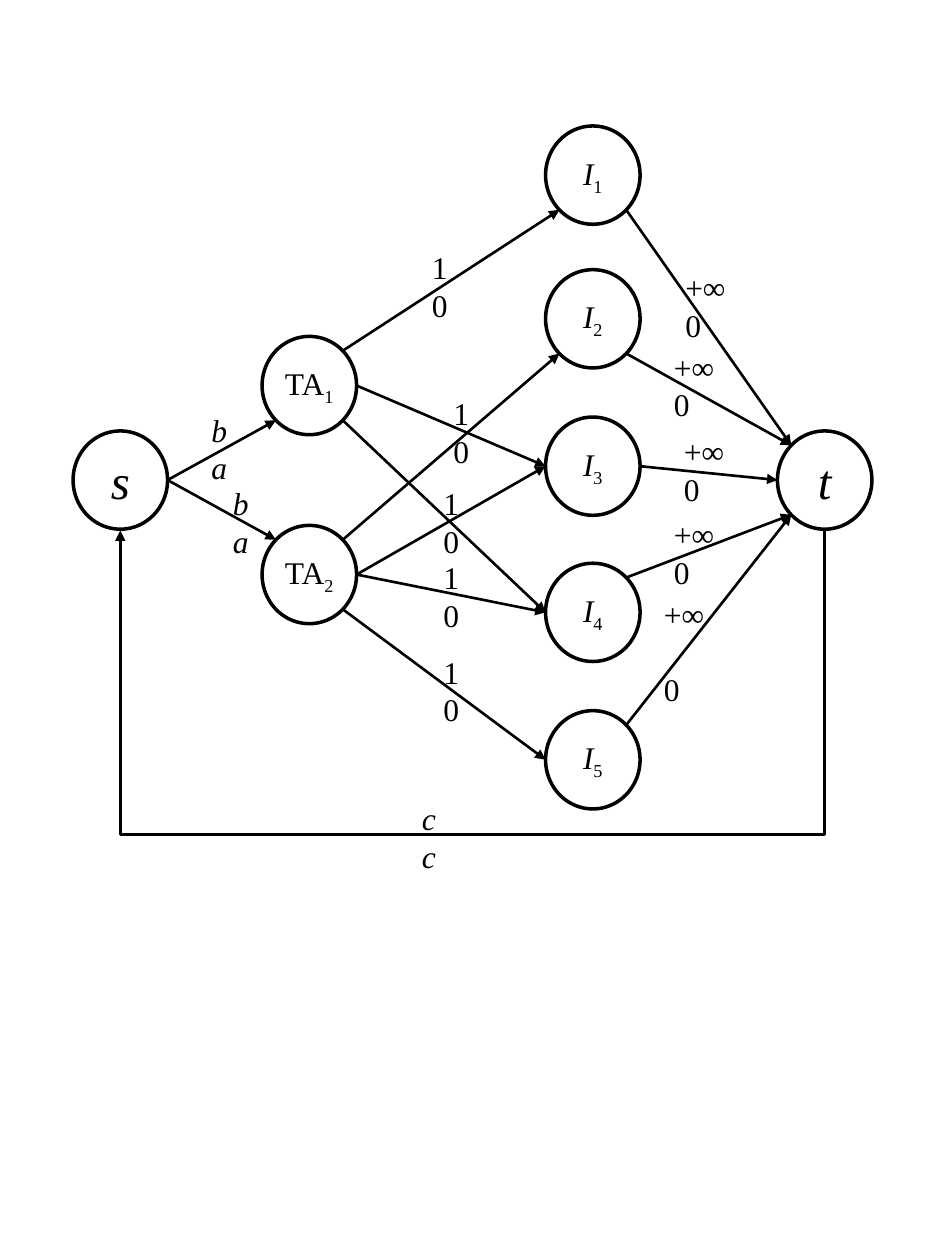
import math
from lxml import etree
from pptx import Presentation
from pptx import util as u
from pptx.dml.color import RGBColor
from pptx.enum import shapes, text
from pptx.oxml import ns

INK = "000000"
NODE_W, NODE_H = 0.75, 0.78
SITES = {"e": 0, "se": 45, "s": 90, "sw": 135, "w": 180, "nw": 225, "ne": 315}


def color(hex_string):
    return RGBColor.from_string(hex_string)


def add_span(para, words, size, italic=False, subscript=False):
    span = para.add_run()
    span.text = words
    span.font.name = "Times New Roman"
    span.font.size = u.Pt(size)
    span.font.italic = italic
    span.font.color.rgb = color(INK)
    if subscript:
        span.font._element.set("baseline", "-25000")


def add_node(page, left, top, name, index="", size=18, italic=True):
    """Draw a round node and return its box."""
    box = (left, top, NODE_W, NODE_H)
    node = page.shapes.add_shape(shapes.MSO_SHAPE.OVAL, *map(u.Inches, box))
    node.shadow.inherit = False
    node.fill.background()
    node.line.color.rgb = color(INK)
    node.line.width = u.Pt(2)
    frame = node.text_frame
    frame.word_wrap = False
    frame.vertical_anchor = text.MSO_ANCHOR.MIDDLE
    para = frame.paragraphs[0]
    para.alignment = text.PP_ALIGN.CENTER
    add_span(para, name, size, italic)
    if index:
        add_span(para, index, size, subscript=True)
    return box


def site_point(box, site):
    """Point on the rim of a node, by compass direction."""
    left, top, width, height = box
    angle = math.radians(SITES[site])
    return (left + width / 2 * (1 + math.cos(angle)),
            top + height / 2 * (1 + math.sin(angle)))


def add_arrow(page, start, end, kind=shapes.MSO_CONNECTOR.STRAIGHT):
    arrow = page.shapes.add_connector(kind, *map(u.Inches, (*start, *end)))
    arrow.line.color.rgb = color(INK)
    arrow.line.width = u.Pt(1.5)
    line = arrow.line._get_or_add_ln()
    etree.SubElement(line, ns.qn("a:tailEnd"), type="triangle")
    etree.SubElement(arrow.element.spPr, ns.qn("a:effectLst"))
    return arrow


def add_return_arrow(page, start, end, depth):
    """Bent arrow that leaves downwards, runs left and comes back up."""
    thin = 0.01
    span = start[0] - end[0]
    left = (start[0] + end[0] - thin) / 2
    top = start[1] + (thin - span) / 2
    arrow = add_arrow(page, (left, top), (left + thin, top + span),
                      shapes.MSO_CONNECTOR.ELBOW)
    properties = arrow.element.spPr
    properties.find(ns.qn("a:xfrm")).set("rot", "5400000")
    bend = round(depth / thin * 100000)
    etree.SubElement(properties.find(".//" + ns.qn("a:avLst")), ns.qn("a:gd"),
                     name="adj1", fmla=f"val {bend}")


def add_bounds(page, left, top, width, upper, lower, italic=False, gap=0):
    """Upper and lower capacity of an edge, on two lines."""
    box = page.shapes.add_textbox(
        *map(u.Inches, (left, top, width, 0.71 + gap / 72)))
    frame = box.text_frame
    frame.word_wrap = False
    frame.auto_size = text.MSO_AUTO_SIZE.SHAPE_TO_FIT_TEXT
    add_span(frame.paragraphs[0], upper, 18, italic)
    para = frame.add_paragraph()
    para.space_before = u.Pt(gap)
    add_span(para, lower, 18, italic)


def build_network(page, left, top):
    # Nodes
    nodes = {
        "s": add_node(page, left, top + 2.42, "s", size=28),
        "t": add_node(page, left + 5.59, top + 2.42, "t", size=28),
    }
    for number, drop in enumerate((1.67, 3.17), 1):
        nodes[f"TA{number}"] = add_node(page, left + 1.5, top + drop, "TA",
                                        str(number), italic=False)
    for number, drop in enumerate((0, 1.14, 2.31, 3.47, 4.64), 1):
        nodes[f"I{number}"] = add_node(page, left + 3.75, top + drop, "I",
                                       str(number))

    # Edges
    edges = (
        "s e TA1 sw", "s e TA2 nw",
        "TA1 ne I1 sw", "TA1 e I3 w", "TA1 se I4 w",
        "TA2 ne I2 sw", "TA2 e I3 w", "TA2 e I4 w", "TA2 se I5 w",
        "I1 se t nw", "I2 se t nw", "I3 e t w", "I4 ne t sw", "I5 ne t sw",
    )
    for edge in edges:
        source, leave, target, enter = edge.split()
        add_arrow(page, site_point(nodes[source], leave),
                  site_point(nodes[target], enter))
    add_return_arrow(page, site_point(nodes["t"], "s"),
                     site_point(nodes["s"], "s"), 2.46)

    # Capacities
    for x, y in ((1, 2.21), (1.17, 2.79)):
        add_bounds(page, left + x, top + y, 0.33, "b", "a", italic=True)
    for x, y in ((2.75, 0.92), (2.92, 2.08), (2.84, 2.79),
                 (2.84, 3.38), (2.84, 4.13)):
        add_bounds(page, left + x, top + y, 0.33, "1", "0")
    for x, y, gap in ((4.76, 1.08, 0), (4.67, 1.71, 0), (4.75, 2.38, 0),
                      (4.67, 3.04, 0), (4.59, 3.67, 21.6)):
        add_bounds(page, left + x, top + y, 0.52, "+∞", "0", gap=gap)
    add_bounds(page, left + 2.67, top + 5.29, 0.31, "c", "c", italic=True)


deck = Presentation()
deck.slide_width, deck.slide_height = u.Inches(7.5), u.Inches(10)
page = deck.slides.add_slide(deck.slide_layouts[6])
build_network(page, 0.58, 1)
deck.save("out.pptx")
